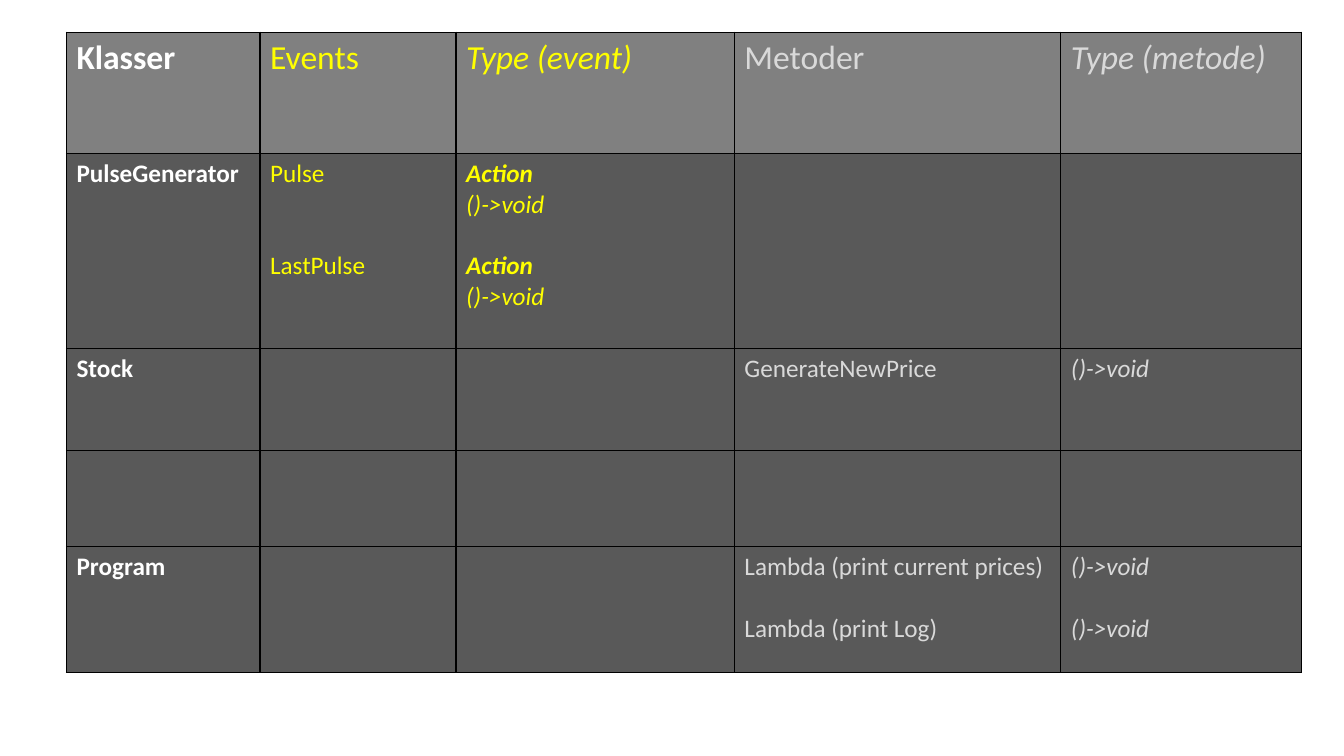
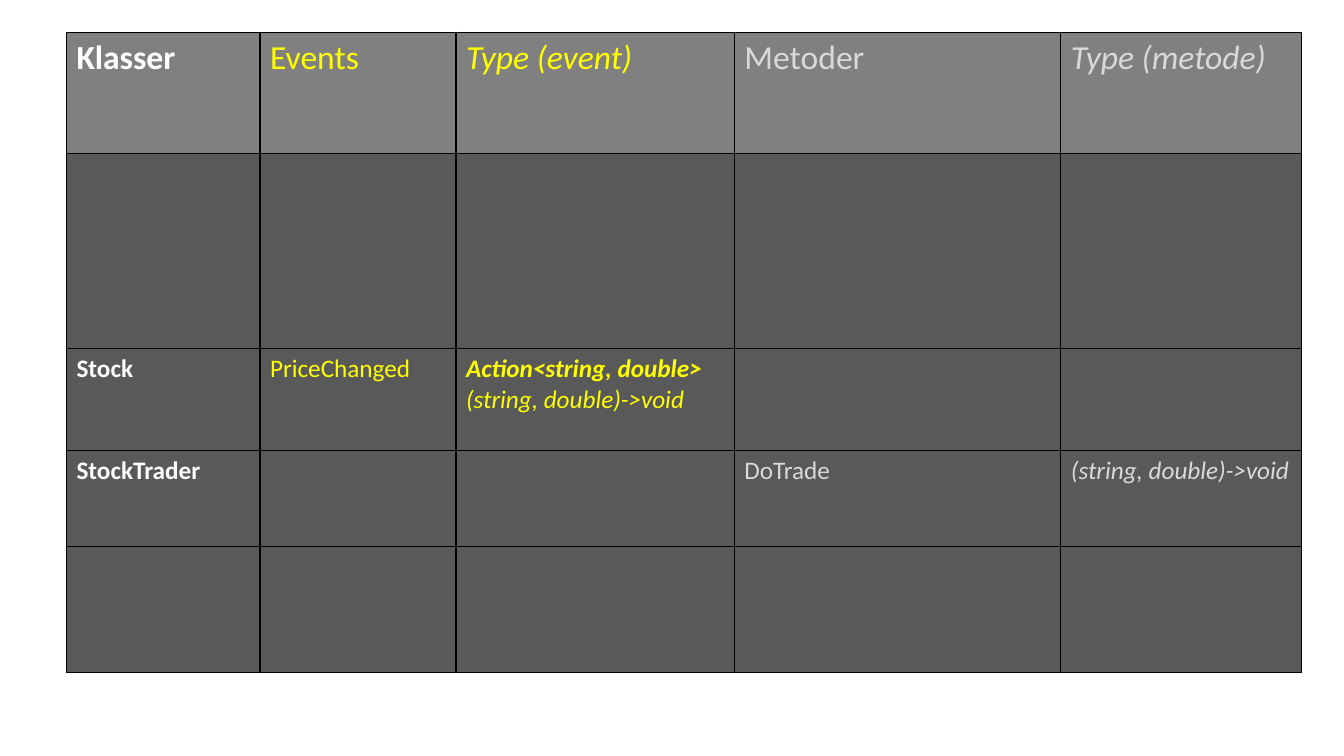
from dataclasses import dataclass

from lxml import etree
from pptx import Presentation
from pptx.dml.color import RGBColor
from pptx.oxml import ns
from pptx.util import Pt

FONT = "Calibri"
HEAD_FILL, BODY_FILL, BORDER = "808080", "595959", "000000"
HEAD_SIZE, BODY_SIZE, LINE_HEIGHT = 24, 18, 22
TABLE_BOX = (47.5, 23.1, 882.1, 457)
COLUMN_SHARES = (138.2, 140, 198.9, 233.2, 171.8)
ROW_SHARES = (86.4, 139.3, 73, 68.6, 89.7)
HEADINGS = ("Klasser", "Events", "Type (event)", "Metoder", "Type (metode)")
COLUMN_STYLES = (
    dict(color="FFFFFF", bold=True),
    dict(color="FFFF00"),
    dict(color="FFFF00", italic=True),
    dict(color="D9D9D9"),
    dict(color="D9D9D9", italic=True),
)


@dataclass
class Line:
    """A paragraph: an optional bold lead, then text, after a gap in lines."""
    text: str = ""
    lead: str = ""
    gap: int = 0


VOID = "()->void"
TRADE = "(string, double)->void"

PULSE_ROWS = (
    ("PulseGenerator",
     [Line("Pulse"), Line("LastPulse", gap=2)],
     [Line(lead="Action"), Line(VOID), Line(lead="Action", gap=1), Line(VOID)],
     "", ""),
    ("Stock", "", "", "GenerateNewPrice", VOID),
    ("", "", "", "", ""),
    ("Program", "", "",
     [Line("Lambda (print current prices)"), Line("Lambda (print Log)", gap=1)],
     [Line(VOID), Line(VOID, gap=1)]),
)
TRADE_ROWS = (
    ("", "", "", "", ""),
    ("Stock", "PriceChanged",
     [Line(TRADE, lead="Action<string, double> ")], "", ""),
    ("StockTrader", "", "", "DoTrade", TRADE),
    ("", "", "", "", ""),
)


def rgb(value):
    return RGBColor.from_string(value)


def add_text(para, text, size=BODY_SIZE, color="FFFFFF", bold=False, italic=False):
    span = para.add_run()
    span.text = text
    font = span.font
    font.name, font.size = FONT, Pt(size)
    font.bold, font.italic = bold, italic
    font.color.rgb = rgb(color)


def add_borders(cell, color=BORDER, width=1):
    """Draw all four sides; the side elements must precede the fill."""
    properties = cell._tc.get_or_add_tcPr()
    for index, side in enumerate(("lnL", "lnR", "lnT", "lnB")):
        line = etree.Element(ns.qn(f"a:{side}"), w=str(Pt(width)))
        fill = etree.SubElement(line, ns.qn("a:solidFill"))
        etree.SubElement(fill, ns.qn("a:srgbClr"), val=color)
        properties.insert(index, line)


def fill_cell(cell, content, fill, size, style):
    cell.fill.solid()
    cell.fill.fore_color.rgb = rgb(fill)
    add_borders(cell)
    lines = [Line(content)] if isinstance(content, str) else content
    frame = cell.text_frame
    for index, line in enumerate(lines):
        para = frame.add_paragraph() if index else frame.paragraphs[0]
        if line.gap:
            para.space_before = Pt(line.gap * LINE_HEIGHT)
        if line.lead:
            add_text(para, line.lead, size=size, **{**style, "bold": True})
        if line.text:
            add_text(para, line.text, size=size, **style)


def add_class_table(page, box, body_rows):
    left, top, width, height = box
    rows = (HEADINGS, *body_rows)
    table = page.shapes.add_table(len(rows), len(HEADINGS), Pt(left), Pt(top),
                                  Pt(width), Pt(height)).table
    table.first_row = table.horz_banding = False
    for column, share in zip(table.columns, COLUMN_SHARES):
        column.width = Pt(width * share / sum(COLUMN_SHARES))
    for row, share in zip(table.rows, ROW_SHARES):
        row.height = Pt(height * share / sum(ROW_SHARES))
    for row_index, contents in enumerate(rows):
        fill, size = (BODY_FILL, BODY_SIZE) if row_index else (HEAD_FILL, HEAD_SIZE)
        for column_index, content in enumerate(contents):
            fill_cell(table.cell(row_index, column_index), content, fill, size,
                      COLUMN_STYLES[column_index])


def main():
    deck = Presentation()
    deck.slide_width, deck.slide_height = Pt(960), Pt(540)
    for body_rows in (PULSE_ROWS, TRADE_ROWS):
        page = deck.slides.add_slide(deck.slide_layouts[6])
        add_class_table(page, TABLE_BOX, body_rows)
    deck.save("out.pptx")


if __name__ == "__main__":
    main()
